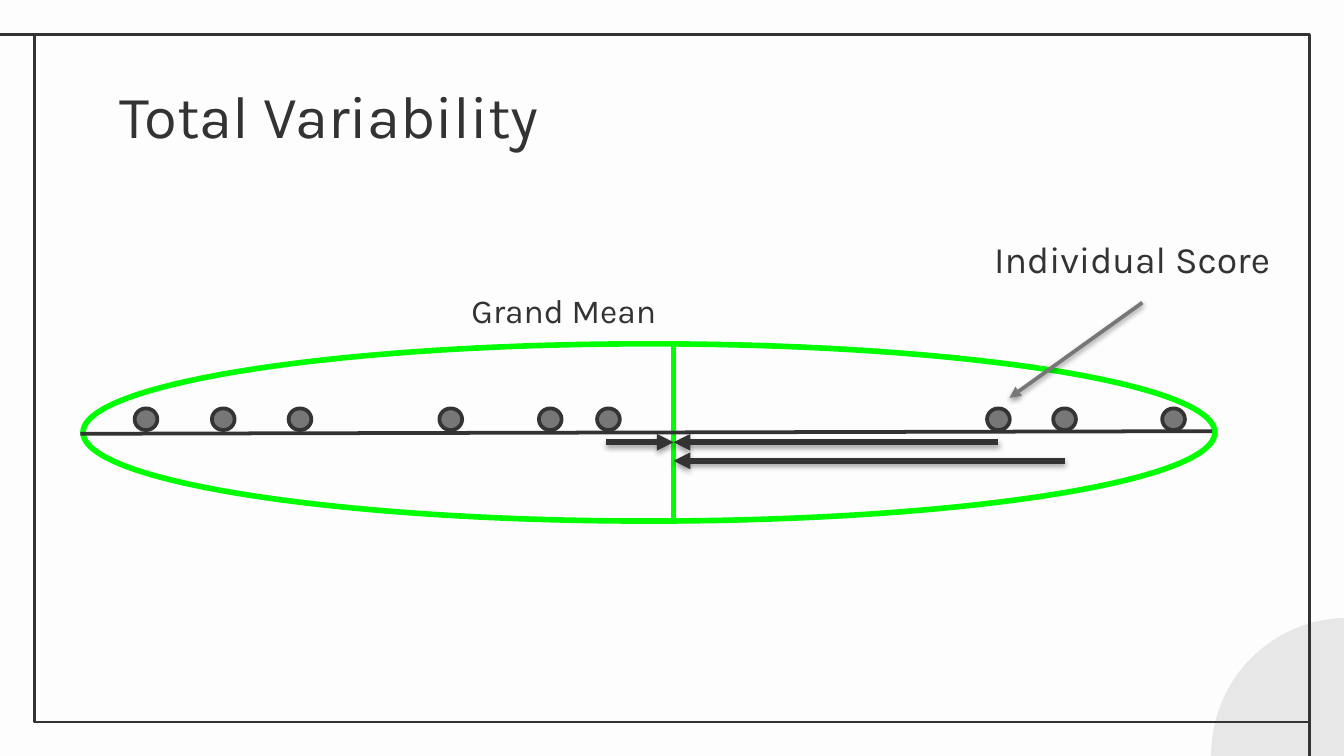
from lxml import etree
from pptx import Presentation
from pptx.dml.color import RGBColor
from pptx.enum.shapes import MSO_CONNECTOR, MSO_SHAPE
from pptx.enum.text import MSO_ANCHOR, PP_ALIGN
from pptx.oxml import parse_xml
from pptx.oxml.ns import nsdecls, qn
from pptx.util import Cm, Pt

STRAIGHT = MSO_CONNECTOR.STRAIGHT
OVAL, RECTANGLE = MSO_SHAPE.OVAL, MSO_SHAPE.RECTANGLE
TOP, LEFT = MSO_ANCHOR.TOP, PP_ALIGN.LEFT
TITLE_ONLY = 5

THEME = {
    "font": "Karla", "background": "FDFDFD", "ink": "333333", "grey": "777777",
    "dot_line": "343434", "green": "00FF00", "corner": "E8E7E7",
    "title_size": 32, "frame_width": 1.5, "thin": 2, "thick": 3,
}

# All places are in centimetres.
SLIDE_WIDTH, SLIDE_HEIGHT = 25.4, 14.29
TITLE = ("Total Variability", (2.01, 1.24, 21.41, 1.6))
LABELS = [  # text, box, size
    ("Individual Score", (18.54, 4.34, 6.1, 1.12), 20),
    ("Grand Mean", (8.66, 5.36, 6.1, 1.02), 18),
]
CORNER_CIRCLE = (22.89, 11.68, 5.18, 5.18)
FRAME = (0.65, 0.65, 24.1, 13)
SPREAD_OVAL = (1.57, 6.5, 21.39, 3.35)
MEAN_X = 12.73
AXIS = (1.52, 8.2, 22.91, 8.15)
SCORE_POINTER = (21.59, 5.72, 19.08, 7.52)
DEVIATIONS = [(18.87, 8.36), (20.12, 8.71), (11.46, 8.36)]  # start x, y
SCORES = [2.76, 4.22, 5.67, 8.52, 10.4, 11.5, 18.87, 20.12, 22.18]  # centre x
DOT_WIDTH, DOT_HEIGHT, DOT_TOP = 0.43, 0.41, 7.72


def color(name):
    return RGBColor.from_string(THEME[name])


def add_outline(slide, kind, place, fill=None, line=None, width=0):
    shape = slide.shapes.add_shape(kind, *map(Cm, place))
    shape.shadow.inherit = False
    if fill:
        shape.fill.solid()
        shape.fill.fore_color.rgb = color(fill)
    else:
        shape.fill.background()
    if line:
        shape.line.color.rgb = color(line)
        shape.line.width = Pt(width)
    else:
        shape.line.fill.background()


def add_line(slide, ends, line, width, arrow=False):
    """Draw a straight line; an arrow also gets a head and a soft shadow."""
    connector = slide.shapes.add_connector(STRAIGHT, *map(Cm, ends))
    connector.line.color.rgb = color(line)
    connector.line.width = Pt(width)
    properties = connector._element.spPr
    effects = parse_xml(f"<a:effectLst {nsdecls('a')}/>")
    properties.append(effects)
    if arrow:
        etree.SubElement(properties.find(qn("a:ln")), qn("a:tailEnd"), type="triangle")
        effects.append(parse_xml(
            f'<a:outerShdw {nsdecls("a")} blurRad="{Pt(3.1)}" dist="{Pt(1.6)}" '
            'dir="5400000" rotWithShape="0"><a:srgbClr val="000000">'
            '<a:alpha val="38000"/></a:srgbClr></a:outerShdw>'))


def write_text(box, text, size, inset):
    frame = box.text_frame
    frame.text = text
    frame.word_wrap = True
    frame.vertical_anchor = TOP
    frame.margin_left = frame.margin_right = Cm(0.25)
    frame.margin_top = frame.margin_bottom = Cm(inset)
    para = frame.paragraphs[0]
    para.alignment = LEFT
    para.space_before = Pt(0)
    for span in para.runs:
        span.font.name = THEME["font"]
        span.font.size = Pt(size)
        span.font.color.rgb = color("ink")


def add_frame(slide):
    left, top, width, height = FRAME
    right, bottom = left + width, top + height
    add_outline(slide, OVAL, CORNER_CIRCLE, fill="corner")
    add_outline(slide, RECTANGLE, FRAME, line="ink", width=THEME["frame_width"])
    for ends in [(left, top, 0, top), (right, bottom, right, SLIDE_HEIGHT)]:
        add_line(slide, ends, "ink", THEME["frame_width"])


def add_diagram(slide):
    thin, thick = THEME["thin"], THEME["thick"]
    oval_top, oval_height = SPREAD_OVAL[1], SPREAD_OVAL[3]
    add_outline(slide, OVAL, SPREAD_OVAL, line="green", width=thick)
    add_line(slide, (MEAN_X, oval_top, MEAN_X, oval_top + oval_height), "green", thick)
    add_line(slide, AXIS, "ink", thin)
    add_line(slide, SCORE_POINTER, "grey", thin, arrow=True)
    for start, level in DEVIATIONS:
        add_line(slide, (start, level, MEAN_X, level), "ink", thick, arrow=True)
    for center in SCORES:
        place = (center - DOT_WIDTH / 2, DOT_TOP, DOT_WIDTH, DOT_HEIGHT)
        add_outline(slide, OVAL, place, "grey", "dot_line", thin)


def main():
    deck = Presentation()
    deck.slide_width, deck.slide_height = Cm(SLIDE_WIDTH), Cm(SLIDE_HEIGHT)
    slide = deck.slides.add_slide(deck.slide_layouts[TITLE_ONLY])
    slide.background.fill.solid()
    slide.background.fill.fore_color.rgb = color("background")
    add_frame(slide)

    text, place = TITLE
    title = slide.shapes.title
    title.left, title.top, title.width, title.height = map(Cm, place)
    write_text(title, text, THEME["title_size"], 0.25)

    add_diagram(slide)
    for text, place, size in LABELS:
        write_text(slide.shapes.add_textbox(*map(Cm, place)), text, size, 0.13)
    deck.save("out.pptx")


if __name__ == "__main__":
    main()
